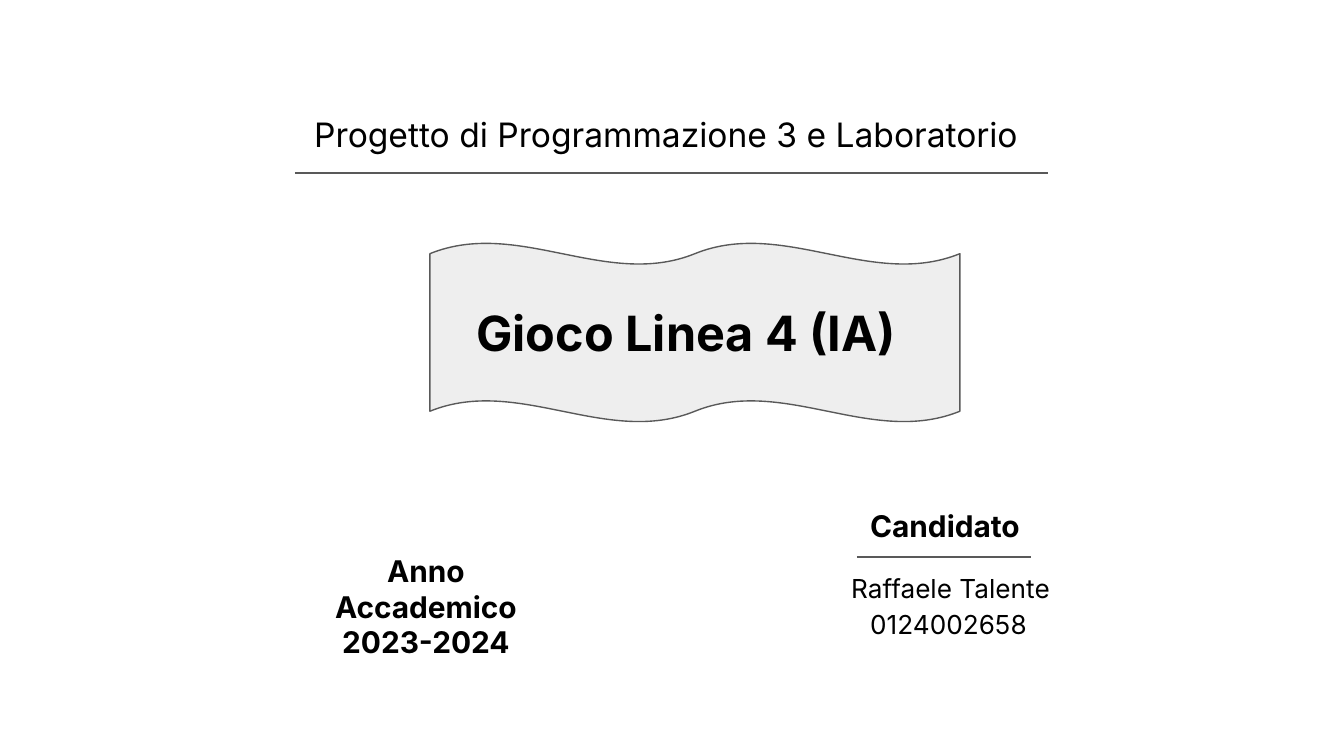
from pptx import Presentation
from pptx.dml.color import RGBColor
from pptx.enum.shapes import MSO_CONNECTOR, MSO_SHAPE
from pptx.enum.text import MSO_ANCHOR, MSO_AUTO_SIZE, PP_ALIGN
from pptx.util import Inches, Pt
from lxml.etree import SubElement
from pptx.oxml.ns import qn

PX = Inches(1) / 134.4
color = RGBColor.from_string


def px(*nums):
    return [round(n * PX) for n in nums]


def write(shape, lines, size, bold=False, align=PP_ALIGN.LEFT):
    frame = shape.text_frame
    frame.word_wrap = True
    frame.auto_size = MSO_AUTO_SIZE.NONE
    frame.vertical_anchor = MSO_ANCHOR.TOP
    frame.margin_left = frame.margin_right = Inches(0.1)
    frame.margin_top = frame.margin_bottom = Inches(0.1)
    for i, line in enumerate(lines):
        para = frame.add_paragraph() if i else frame.paragraphs[0]
        para.alignment = align
        run = para.add_run()
        run.text = line
        run.font.name = "Inter"
        run.font.size = Pt(size)
        run.font.bold = bold
        run.font.color.rgb = color("000000")


deck = Presentation()
deck.slide_width, deck.slide_height = px(1344, 756)
slide = deck.slides.add_slide(deck.slide_layouts[5])
shapes = slide.shapes

# Banner
wave = shapes.add_shape(MSO_SHAPE.DOUBLE_WAVE, *px(430, 243, 530, 179))
wave.adjustments[0] = 0.06
wave.shadow.inherit = False
wave.fill.solid()
wave.fill.fore_color.rgb = color("EEEEEE")
wave.line.color.rgb = color("595959")
wave.line.width = Pt(0.75)

# Title, in front of the banner
title = shapes.title
title.left, title.top, title.width, title.height = px(463, 290, 487, 86)
write(title, ["Gioco Linea 4 (IA)"], 26, True)
wave.element.addnext(title.element)

# Rules under the course and candidate headings
for left, right, y in [(295, 1048, 173), (857, 1031, 557)]:
    rule = shapes.add_connector(MSO_CONNECTOR.STRAIGHT, *px(left, y, right, y))
    rule.line.color.rgb = color("595959")
    rule.line.width = Pt(0.75)
    SubElement(rule.element.spPr, qn("a:effectLst"))

# Course, candidate and academic year
left, mid = PP_ALIGN.LEFT, PP_ALIGN.CENTER
texts = [
    ((301, 101, 759, 67), ["Progetto di Programmazione 3 e Laboratorio"], 18, False, left),
    ((857, 494, 188, 63), ["Candidato"], 16, True, left),
    ((838, 559, 267, 59), ["Raffaele Talente"], 14, False, left),
    ((857, 595, 220, 59), ["0124002658"], 14, False, left),
    ((280, 539, 292, 99), ["Anno Accademico", "2023-2024"], 16, True, mid),
]
for box, lines, size, bold, align in texts:
    write(shapes.add_textbox(*px(*box)), lines, size, bold, align)

deck.save("out.pptx")
